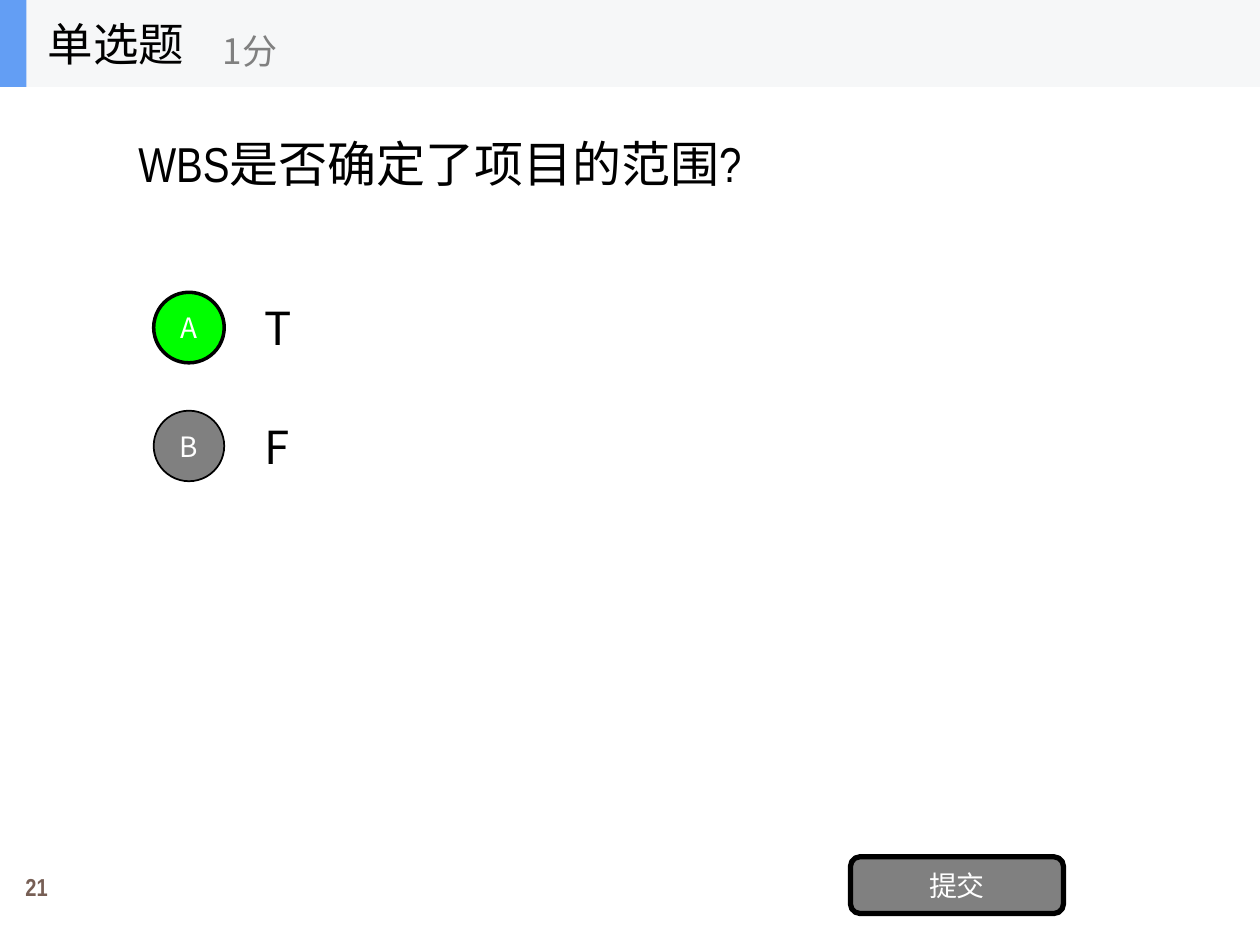
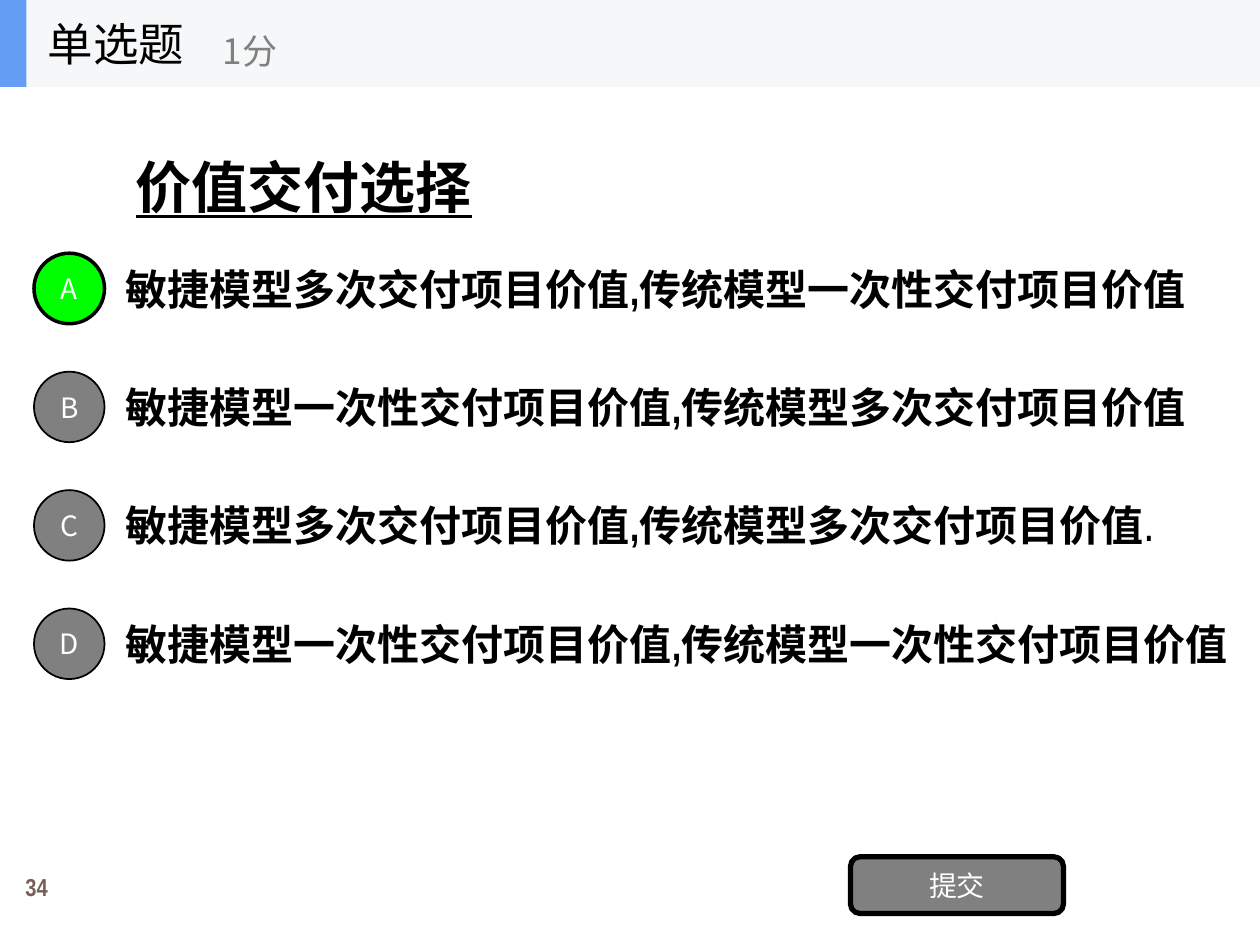
from pptx import Presentation
from pptx.dml.color import RGBColor
from pptx.enum.shapes import MSO_SHAPE
from pptx.enum.text import MSO_ANCHOR, PP_ALIGN
from pptx.oxml.ns import qn
from pptx.util import Inches, Pt
from lxml.etree import SubElement

# Content: option runs are (text, style); nudge shifts an option's text down
HEADING, POINTS, SUBMIT = "单选题", "1分", "提交"
QUESTIONS = [
    {
        "page": "21",
        "title": ("WBS是否确定了项目的范围?", "question"),
        "title_box": (1, 0.69, 8, 1.21),
        "badge_left": 1.22, "text_left": 2, "top": 2.25,
        "correct": "A",
        "options": [
            {"runs": [("T", "short_option")], "width": 7},
            {"runs": [("F", "short_option")], "width": 7},
        ],
    },
    {
        "page": "34",
        "title": ("价值交付选择", "topic"),
        "title_box": (0.98, 1.01, 8, 0.93),
        "badge_left": 0.27, "text_left": 0.9, "top": 1.94,
        "correct": "A",
        "options": [
            {"runs": [("敏捷模型多次交付项目价值,传统模型一次性交付项目价值", "option")],
             "width": 8.9},
            {"runs": [("敏捷模型一次性交付项目价值,传统模型多次交付项目价值", "option")],
             "width": 8.74},
            {"runs": [("敏捷模型多次交付项目价值,传统模型多次交付项目价值", "option"),
                      (".", "question")],
             "width": 8.67, "nudge": -0.03},
            {"runs": [("敏捷模型一次性交付项目价值,传统模型一次性交付项目价值", "option")],
             "width": 9.06},
        ],
    },
]

# Theme: colours, fonts and text styles
SANS, NARROW = "Noto Sans CJK SC", "Arial Narrow"
THEME = {
    "colors": {
        "black": "000000", "white": "FFFFFF", "grey": "808080", "green": "00FF00",
        "band": "F6F7F8", "accent": "639EF4", "page": "775F55",
    },
    "text": {
        "heading": ("black", {"name": SANS, "size": Pt(26)}),
        "points": ("grey", {"name": SANS, "size": Pt(20)}),
        "button": ("white", {"name": SANS, "size": Pt(16)}),
        "page": ("page", {"name": NARROW, "size": Pt(14), "bold": True}),
        "question": ("black", {"name": NARROW, "size": Pt(28)}),
        "topic": ("black", {"name": SANS, "size": Pt(32), "bold": True, "underline": True}),
        "short_option": ("black", {"name": SANS, "size": Pt(26)}),
        "option": ("black", {"name": NARROW, "size": Pt(24), "bold": True}),
    },
}

# Layout in inches
SLIDE_W, SLIDE_H = 10, 7.5
BAND_H, ACCENT_W = 0.69, 0.21
OPTION_H, OPTION_PITCH, BADGE = 0.7, 0.94, 0.56


def color(name):
    return RGBColor.from_string(THEME["colors"][name])


def write(shape, runs, align=PP_ALIGN.LEFT):
    tf = shape.text_frame
    tf.word_wrap = True
    tf.vertical_anchor = MSO_ANCHOR.MIDDLE
    p = tf.paragraphs[0]
    p.alignment = align
    for text, style in runs:
        r = p.add_run()
        r.text = text
        color_name, formats = THEME["text"][style]
        for key, value in formats.items():
            setattr(r.font, key, value)
        r.font.color.rgb = color(color_name)
        SubElement(r.font._element, qn("a:ea"), typeface=SANS)


def add_text(s, box, runs, align=PP_ALIGN.LEFT):
    write(s.shapes.add_textbox(*map(Inches, box)), runs, align)


def add_shape(s, kind, box, fill, line=0, label=None):
    sp = s.shapes.add_shape(kind, *map(Inches, box))
    sp.shadow.inherit = False
    sp.fill.solid()
    sp.fill.fore_color.rgb = color(fill)
    if line:
        sp.line.color.rgb = color("black")
        sp.line.width = Pt(line)
    else:
        sp.line.fill.background()
    if label:
        write(sp, [(label, "button")], PP_ALIGN.CENTER)


def add_frame(s, page):
    """Header band, page number and submit button."""
    add_text(s, (0, 6.83, 0.58, 0.42), [(page, "page")], PP_ALIGN.CENTER)
    add_shape(s, MSO_SHAPE.ROUNDED_RECTANGLE, (6.75, 6.8, 1.69, 0.45), "grey", 3, SUBMIT)
    add_shape(s, MSO_SHAPE.RECTANGLE, (0, 0, SLIDE_W, BAND_H), "band")
    add_shape(s, MSO_SHAPE.RECTANGLE, (0, 0, ACCENT_W, BAND_H), "accent")
    add_text(s, (0.28, 0, 2.08, BAND_H), [(HEADING, "heading")])
    add_text(s, (1.67, 0.12, 2.5, 0.56), [(POINTS, "points")])


def add_options(s, question):
    """One lettered badge and one text per row; the correct badge is green."""
    for i, option in enumerate(question["options"]):
        letter = "ABCD"[i]
        top = question["top"] + i * OPTION_PITCH
        fill, line = ("green", 2) if letter == question["correct"] else ("grey", 1)
        add_text(s, (question["text_left"], top + option.get("nudge", 0),
                     option["width"], OPTION_H), option["runs"])
        badge_top = top + (OPTION_H - BADGE) / 2
        add_shape(s, MSO_SHAPE.OVAL, (question["badge_left"], badge_top, BADGE, BADGE),
                  fill, line, letter)


def main():
    prs = Presentation()
    prs.slide_width, prs.slide_height = Inches(SLIDE_W), Inches(SLIDE_H)
    for question in QUESTIONS:
        s = prs.slides.add_slide(prs.slide_layouts[6])
        add_text(s, question["title_box"], [question["title"]])
        add_options(s, question)
        add_frame(s, question["page"])
    prs.save("out.pptx")


if __name__ == "__main__":
    main()
